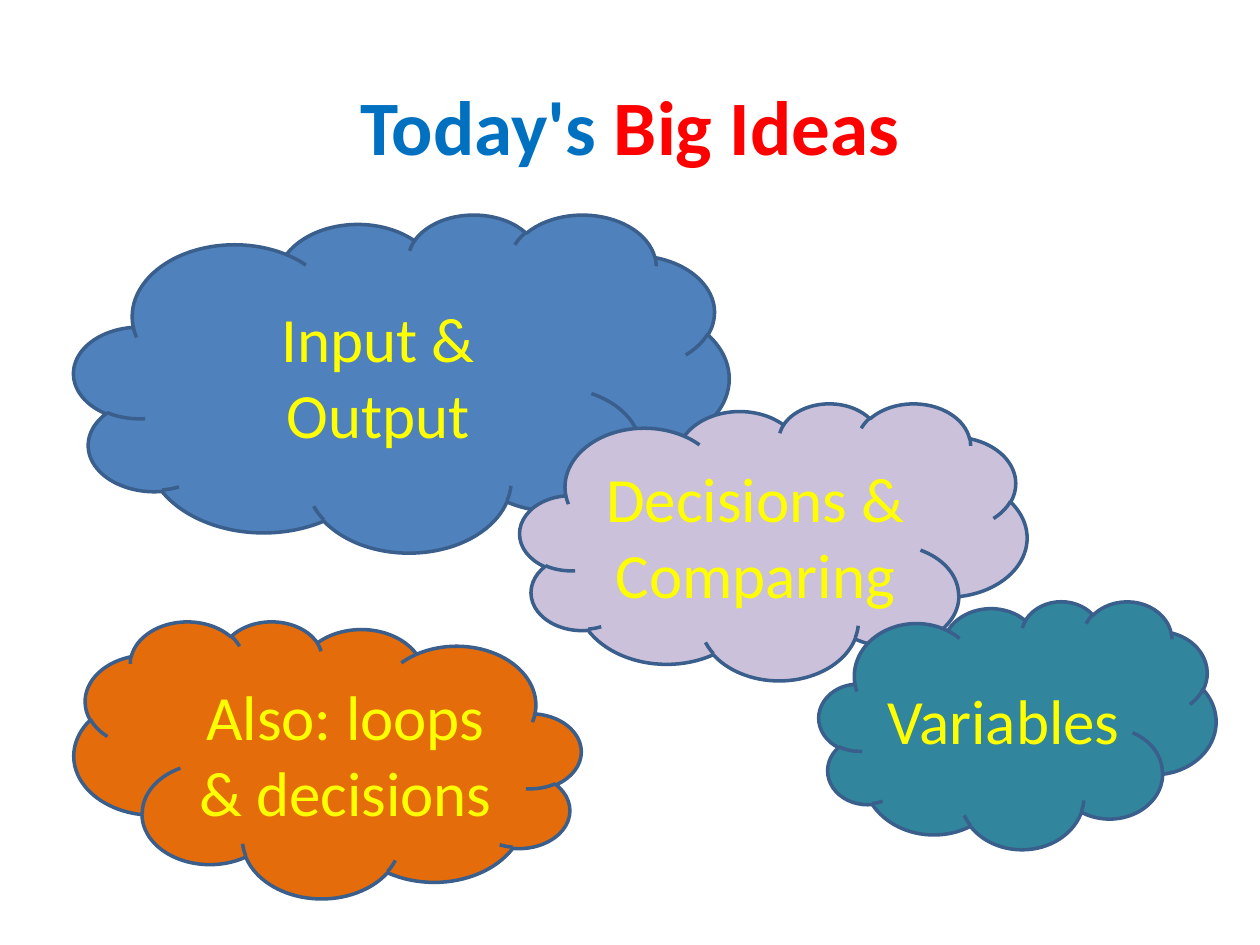
"""Build the Big Ideas slide of coloured clouds."""
from pptx import Presentation
from pptx.dml.color import RGBColor as RGB
from pptx.enum.shapes import MSO_SHAPE as Shape
from pptx.enum.text import MSO_ANCHOR as Anchor, PP_ALIGN as Align
from pptx.util import Emu, Pt

SCALE = 914400 / 126
FONT = "Calibri"
BLUE = RGB(0x00, 0x70, 0xC0)
RED = RGB(0xFF, 0x00, 0x00)
YELLOW = RGB(0xFF, 0xFF, 0x00)
EDGE = RGB(0x3A, 0x5F, 0x8C)
STEEL = RGB(0x4F, 0x81, 0xBD)
LILAC = RGB(0xCC, 0xC1, 0xDA)
TEAL = RGB(0x31, 0x85, 0x9C)
ORANGE = RGB(0xE4, 0x6C, 0x0A)

CLOUDS = [
    ((74, 214, 655, 338), STEEL, "Input &\vOutput", False),
    ((520, 403, 507, 277), LILAC, "Decisions &\nComparing", False),
    ((819, 601, 397, 248), TEAL, "Variables", False),
    ((74, 621, 507, 277), ORANGE, "Also: loops & decisions", True),
]


def px(n):
    return Emu(round(n * SCALE))


def write(para, text, color=YELLOW, size=36, bold=False):
    para.alignment = Align.CENTER
    for i, part in enumerate(text.split("\v")):
        if i:
            para.add_line_break()
        run = para.add_run()
        run.text = part
        font = run.font
        font.name, font.size, font.bold = FONT, Pt(size), bold
        font.color.rgb = color


def place(shape, box):
    shape.left, shape.top, shape.width, shape.height = map(px, box)


def add_title(slide):
    title = slide.shapes.title
    place(title, (63, 26, 1134, 197))
    frame = title.text_frame
    frame.vertical_anchor = Anchor.MIDDLE
    para = frame.paragraphs[0]
    write(para, "Today's ", color=BLUE, size=44, bold=True)
    write(para, "Big Ideas", color=RED, size=44, bold=True)


def add_cloud(slide, box, fill, text, flip):
    cloud = slide.shapes.add_shape(Shape.CLOUD, *map(px, box))
    cloud.shadow.inherit = False
    cloud.fill.solid()
    cloud.fill.fore_color.rgb = fill
    cloud.line.color.rgb = EDGE
    cloud.line.width = Pt(2)
    if flip:
        cloud.element.spPr.xfrm.set("flipH", "1")
    frame = cloud.text_frame
    frame.word_wrap = True
    frame.vertical_anchor = Anchor.MIDDLE
    for i, line in enumerate(text.split("\n")):
        write(frame.add_paragraph() if i else frame.paragraphs[0], line)


def main():
    deck = Presentation()
    deck.slide_width, deck.slide_height = px(1260), px(945)
    slide = deck.slides.add_slide(deck.slide_layouts[5])
    add_title(slide)
    for cloud in CLOUDS:
        add_cloud(slide, *cloud)
    deck.save("out.pptx")


if __name__ == "__main__":
    main()
